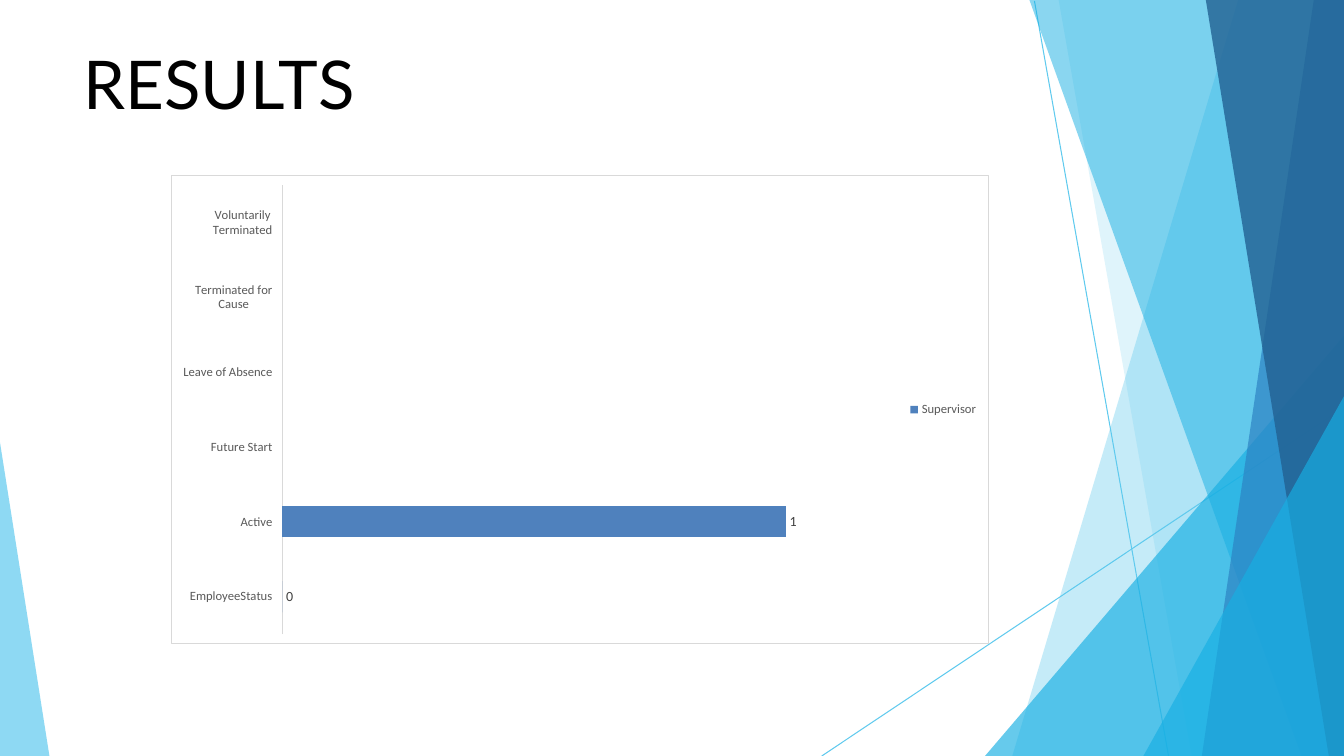
"""Build the RESULTS slide: faceted side panels and an employee status bar chart."""
from dataclasses import dataclass

from pptx import Presentation
from pptx.chart.data import CategoryChartData
from pptx.dml.color import RGBColor
from pptx.enum.chart import XL_CHART_TYPE, XL_LABEL_POSITION, XL_LEGEND_POSITION, XL_TICK_LABEL_POSITION, XL_TICK_MARK
from pptx.enum.text import MSO_ANCHOR
from pptx.oxml import parse_xml
from pptx.oxml.ns import nsdecls, qn
from pptx.oxml.xmlchemy import OxmlElement
from pptx.util import Inches, Pt

BAR_CLUSTERED = XL_CHART_TYPE.BAR_CLUSTERED
LEGEND_RIGHT = XL_LEGEND_POSITION.RIGHT
OUTSIDE_END = XL_LABEL_POSITION.OUTSIDE_END
LABELS_LOW = XL_TICK_LABEL_POSITION.LOW
NO_TICK = XL_TICK_MARK.NONE
ANCHOR_TOP = MSO_ANCHOR.TOP

WIDTH, HEIGHT = 13.33, 7.5
COLORS = {
    "sky": "5FCAEE", "cyan": "17AFE3", "blue": "2D83C3", "navy": "226192",
    "bar": "4F81BD", "black": "000000", "white": "FFFFFF",
    "axis_text": "595959", "label_text": "404040", "rule": "D9D9D9",
}
PLOT_LAYOUT = {"x": 0.135, "y": 0.02, "w": 0.74, "h": 0.96}


@dataclass(frozen=True)
class Ray:
    """A thin straight line."""
    start: tuple[float, float]
    end: tuple[float, float]


@dataclass(frozen=True)
class Facet:
    """A translucent polygon with its opacity in percent."""
    points: tuple[tuple[float, float], ...]
    color: str
    opacity: int


def right_band(top: float, bottom: float, color: str, opacity: int) -> Facet:
    """Return a full-height facet that reaches the right edge."""
    return Facet(((WIDTH, 0), (top, 0), (bottom, HEIGHT), (WIDTH, HEIGHT)), color, opacity)


def right_corner(top: float, left: float) -> Facet:
    """Return a triangular facet in the bottom right corner."""
    return Facet(((WIDTH, top), (left, HEIGHT), (WIDTH, HEIGHT)), "cyan", 66)


RAYS = (Ray((10.26, 0.01), (11.59, HEIGHT)), Ray((WIDTH, 4.04), (8.15, HEIGHT)))
FACETS = (
    right_band(12.28, 10.04, "sky", 36),
    right_band(10.5, 11.82, "sky", 20),
    right_corner(3.33, 9.77),
    right_band(10.21, 12.91, "cyan", 50),
    right_band(13.03, 11.92, "blue", 70),
    right_band(11.96, 13.18, "navy", 80),
    right_corner(3.93, 11.34),
    Facet(((0, 4.39), (0, HEIGHT), (0.49, HEIGHT)), "sky", 70),
)
STATUS_COUNTS = {
    "EmployeeStatus": 0, "Active": 1, "Future Start": None, "Leave of Absence": None,
    "Terminated for Cause": None, "Voluntarily Terminated": None,
}


def rgb(name: str) -> RGBColor:
    """Look up a named colour."""
    return RGBColor.from_string(COLORS[name])


def style_font(font, name: str, size: float, color: str) -> None:
    """Set typeface, size and colour."""
    font.name = name
    font.size = Pt(size)
    font.color.rgb = rgb(color)


def draw_ray(page, ray: Ray) -> None:
    """Draw one thin line without a shadow."""
    ends = [Inches(value) for value in ray.start + ray.end]
    line = page.shapes.add_connector(1, *ends)
    line.line.color.rgb = rgb("sky")
    line.line.width = Pt(0.75)
    line._element.spPr.append(OxmlElement("a:effectLst"))


def draw_facet(page, facet: Facet) -> None:
    """Draw one translucent polygon."""
    points = [(Inches(x), Inches(y)) for x, y in facet.points]
    builder = page.shapes.build_freeform(*points[0])
    builder.add_line_segments(points[1:], close=True)
    shape = builder.convert_to_shape()
    shape.shadow.inherit = False
    shape.line.fill.background()
    shape.fill.solid()
    shape.fill.fore_color.rgb = rgb(facet.color)
    alpha = OxmlElement("a:alpha")
    alpha.set("val", str(facet.opacity * 1000))
    shape._element.spPr.find(".//" + qn("a:srgbClr")).append(alpha)


def add_title(page) -> None:
    """Add the slide heading."""
    box = page.shapes.add_textbox(Inches(0.83), Inches(0.42), Inches(11.68), Inches(0.89))
    frame = box.text_frame
    frame.word_wrap = True
    frame.vertical_anchor = ANCHOR_TOP
    frame.margin_left = frame.margin_right = frame.margin_top = frame.margin_bottom = 0
    frame.text = "RESULTS"
    style_font(frame.paragraphs[0].runs[0].font, "Lato", 48, "black")


def frame_chart(chart) -> None:
    """Give the chart a white bordered background and a fixed plot area."""
    border = parse_xml(
        f'<c:spPr {nsdecls("c", "a")}><a:solidFill><a:srgbClr val="{COLORS["white"]}"/></a:solidFill>'
        f'<a:ln w="{Pt(0.75)}"><a:solidFill><a:srgbClr val="{COLORS["rule"]}"/></a:solidFill></a:ln></c:spPr>')
    space = chart._chartSpace
    space.find(qn("c:chart")).addnext(border)
    plot_area = space.find(".//" + qn("c:plotArea"))
    for old in plot_area.findall(qn("c:layout")):
        plot_area.remove(old)
    sizes = "".join(f'<c:{key} val="{value}"/>' for key, value in PLOT_LAYOUT.items())
    plot_area.insert(0, parse_xml(
        f'<c:layout {nsdecls("c")}><c:manualLayout><c:layoutTarget val="inner"/>'
        f'<c:xMode val="edge"/><c:yMode val="edge"/>{sizes}</c:manualLayout></c:layout>'))


def add_status_chart(page) -> None:
    """Add the bar chart of employee status."""
    data = CategoryChartData()
    data.categories = list(STATUS_COUNTS)
    data.add_series("Supervisor", list(STATUS_COUNTS.values()))
    chart = page.shapes.add_chart(
        BAR_CLUSTERED, Inches(1.7), Inches(1.74), Inches(8.11), Inches(4.65), data).chart
    chart.has_title = False
    style_font(chart.font, "Calibri", 10, "black")
    chart.has_legend = True
    chart.legend.position = LEGEND_RIGHT
    chart.legend.include_in_layout = False
    style_font(chart.legend.font, "Calibri", 9, "axis_text")

    axis = chart.category_axis
    axis.major_tick_mark = axis.minor_tick_mark = NO_TICK
    axis.tick_label_position = LABELS_LOW
    axis.format.line.color.rgb = rgb("rule")
    axis.format.line.width = Pt(0.75)
    style_font(axis.tick_labels.font, "Calibri", 9, "axis_text")
    scale = chart.value_axis
    scale.has_major_gridlines = False
    scale.minimum_scale, scale.maximum_scale = 0, 1.2
    scale.visible = False

    plot = chart.plots[0]
    plot.vary_by_categories = False
    plot.gap_width, plot.overlap = 140, -40
    series = plot.series[0]
    series.format.fill.solid()
    series.format.fill.fore_color.rgb = rgb("bar")
    labels = series.data_labels
    labels.show_value = True
    labels.position = OUTSIDE_END
    style_font(labels.font, "Calibri", 10, "label_text")
    frame_chart(chart)


def main() -> None:
    """Build and save the deck."""
    deck = Presentation()
    deck.slide_width, deck.slide_height = Inches(WIDTH), Inches(HEIGHT)
    page = deck.slides.add_slide(deck.slide_layouts[6])
    for ray in RAYS:
        draw_ray(page, ray)
    for facet in FACETS:
        draw_facet(page, facet)
    add_title(page)
    add_status_chart(page)
    deck.save("out.pptx")


if __name__ == "__main__":
    main()
